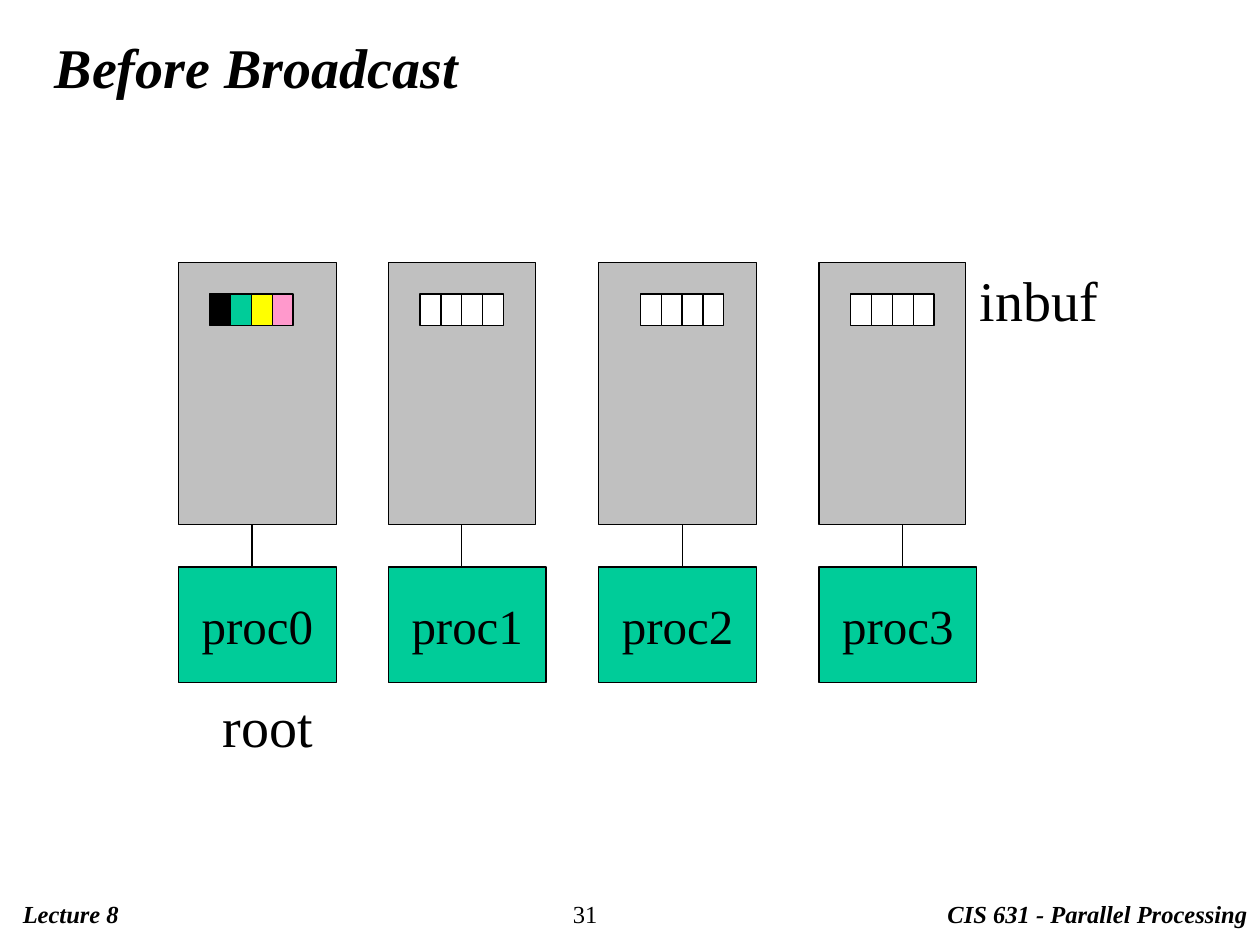
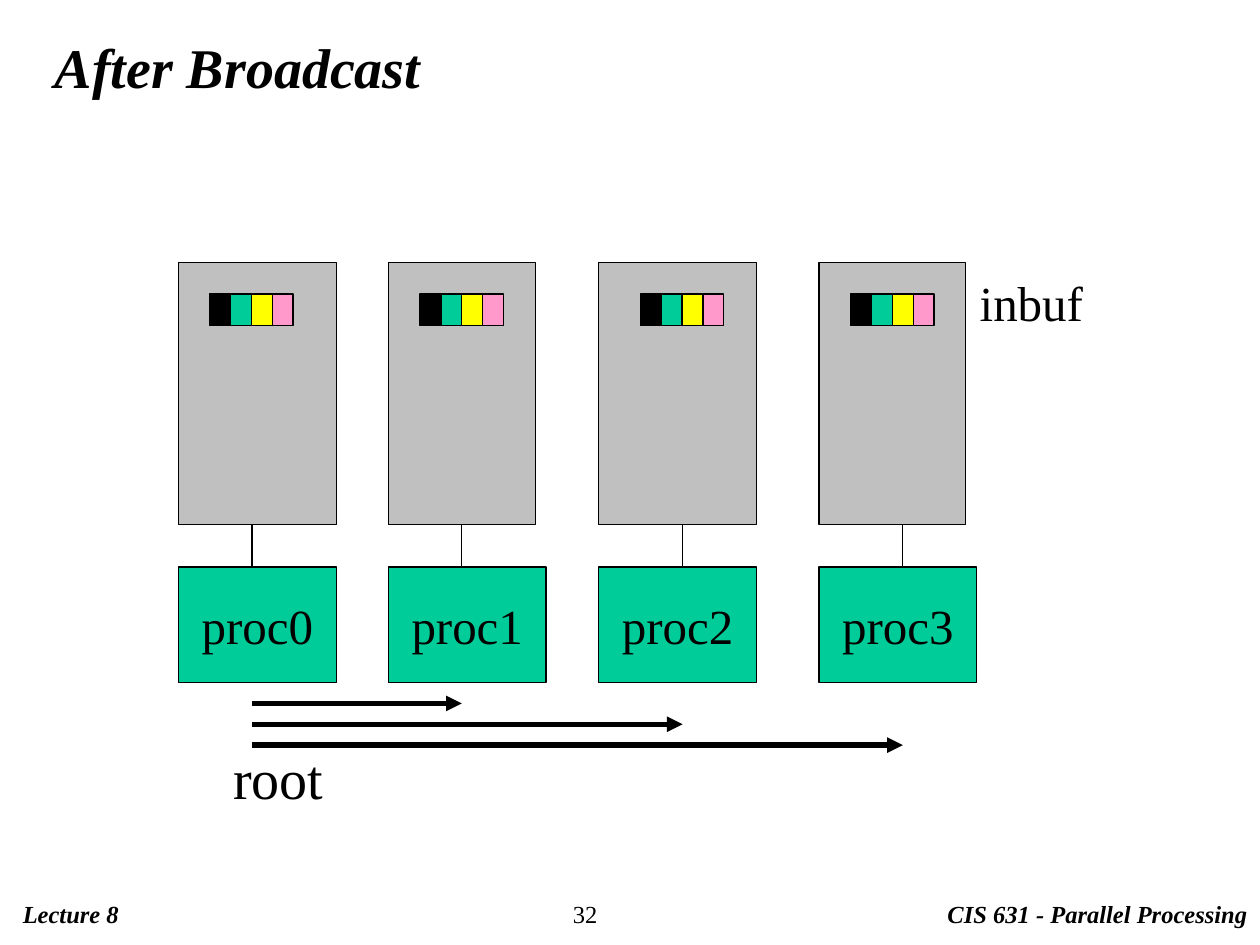
from lxml import etree
from pptx import Presentation
from pptx.dml.color import RGBColor
from pptx.enum.shapes import MSO_CONNECTOR, MSO_SHAPE
from pptx.enum.text import MSO_ANCHOR, MSO_AUTO_SIZE, PP_ALIGN
from pptx.oxml.ns import qn
from pptx.util import Cm, Pt

RECT = MSO_SHAPE.RECTANGLE
STRAIGHT = MSO_CONNECTOR.STRAIGHT
MIDDLE = MSO_ANCHOR.MIDDLE
NO_FIT = MSO_AUTO_SIZE.NONE
LEFT, CENTER = PP_ALIGN.LEFT, PP_ALIGN.CENTER

COLORS = {
    "ink": "000000",
    "paper": "FFFFFF",
    "memory": "C0C0C0",
    "green": "00CC99",
    "yellow": "FFFF00",
    "pink": "FF99CC",
}
FULL = ["ink", "green", "yellow", "pink"]
EMPTY = ["paper"] * 4

BODY = {"name": "Times New Roman", "size": Pt(32), "bold": False, "italic": False}
TITLE = BODY | {"bold": True, "italic": True}
PROC = BODY | {"size": Pt(28)}
PAGE = BODY | {"size": Pt(14)}
FOOTER = TITLE | {"size": Pt(14)}

TITLE_BOX = (0.85, 0.7, 23.92, 1.27)
FOOTER_TOP, FOOTER_HEIGHT = 17.99, 0.86
DIAGRAM = (3.6, 5.29)
MEMORY_HEIGHT = 5.29
PROC_TOP, PROC_WIDTH, PROC_HEIGHT = 6.14, 3.18, 2.33
CELL_WIDTH, CELL_HEIGHT, CELL_TOP = 0.42, 0.64, 0.64
ARROW_TOP, ARROW_GAP = 8.89, 0.42

COLUMNS = [
    {"left": 0, "memory_width": 3.18, "link": 1.48, "buffer": 0.63},
    {"left": 4.23, "memory_width": 2.96, "link": 5.71, "buffer": 4.87},
    {"left": 8.47, "memory_width": 3.18, "link": 10.16, "buffer": 9.31},
    {"left": 12.91, "memory_width": 2.96, "link": 14.6, "buffer": 13.55},
]


def rgb(name):
    return RGBColor.from_string(COLORS[name])


def write(sp, text, style, align=LEFT, wrap=False):
    tf = sp.text_frame
    tf.word_wrap = wrap
    tf.auto_size = NO_FIT
    p = tf.paragraphs[0]
    p.alignment = align
    r = p.add_run()
    r.text = text
    for key, value in style.items():
        setattr(r.font, key, value)
    r.font.color.rgb = rgb("ink")
    return tf


def add_label(s, box, text, style, wrap=False):
    write(s.shapes.add_textbox(*map(Cm, box)), text, style, wrap=wrap)


def add_rect(s, box, fill):
    sp = s.shapes.add_shape(RECT, *map(Cm, box))
    sp.shadow.inherit = False
    sp.fill.solid()
    sp.fill.fore_color.rgb = rgb(fill)
    sp.line.color.rgb = rgb("ink")
    sp.line.width = Pt(0.75)
    return sp


def add_line(s, ends, width=0.75, arrow=False):
    connector = s.shapes.add_connector(STRAIGHT, *map(Cm, ends))
    connector.line.color.rgb = rgb("ink")
    connector.line.width = Pt(width)
    sp_pr = connector._element.spPr
    if arrow:
        etree.SubElement(sp_pr.get_or_add_ln(), qn("a:tailEnd"), type="triangle")
    etree.SubElement(sp_pr, qn("a:effectLst"))


def add_title(s, text):
    title = s.shapes.title
    title.left, title.top, title.width, title.height = map(Cm, TITLE_BOX)
    write(title, text, TITLE, wrap=True).vertical_anchor = MIDDLE


def add_footer(s, number):
    for left, width, text, style, wrap in [
        (18.85, 6.55, "CIS 631 - Parallel Processing", FOOTER, False),
        (0.21, 18.85, "Lecture 8", FOOTER, True),
        (11.3, 2.57, str(number), PAGE, True),
    ]:
        add_label(s, (left, FOOTER_TOP, width, FOOTER_HEIGHT), text, style, wrap)


def add_buffer(s, x, y, cells):
    for i, fill in enumerate(cells):
        add_rect(s, (x + i * CELL_WIDTH, y, CELL_WIDTH, CELL_HEIGHT), fill)


def add_processors(s, origin, buffers):
    x, y = origin
    for i, (column, cells) in enumerate(zip(COLUMNS, buffers)):
        left, link = x + column["left"], x + column["link"]
        proc = add_rect(s, (left, y + PROC_TOP, PROC_WIDTH, PROC_HEIGHT), "green")
        write(proc, f"proc{i}", PROC, CENTER).vertical_anchor = MIDDLE
        add_rect(s, (left, y, column["memory_width"], MEMORY_HEIGHT), "memory")
        add_line(s, (link, y + MEMORY_HEIGHT, link, y + PROC_TOP))
        add_buffer(s, x + column["buffer"], y + CELL_TOP, cells)


def add_broadcast_arrows(s, origin):
    x, y = origin
    root, *targets = [x + column["link"] for column in COLUMNS]
    for i, target in enumerate(targets):
        row = y + ARROW_TOP + i * ARROW_GAP
        add_line(s, (root, row, target, row), 3, arrow=True)


def add_broadcast_slide(prs, number, title, buffers, inbuf, root, arrows=False):
    s = prs.slides.add_slide(prs.slide_layouts[5])
    add_footer(s, number)
    add_title(s, title)
    add_processors(s, DIAGRAM, buffers)
    if arrows:
        add_broadcast_arrows(s, DIAGRAM)
    inbuf_box, inbuf_style = inbuf
    add_label(s, inbuf_box, "inbuf", inbuf_style)
    add_label(s, root, "root", BODY)


def main():
    prs = Presentation()
    prs.slide_width, prs.slide_height = Cm(25.4), Cm(19.05)
    add_broadcast_slide(
        prs, 31, "Before Broadcast", [FULL] + [EMPTY] * 3,
        inbuf=((19.5, 5.23, 2.9, 1.63), BODY), root=(4.24, 13.82, 2.31, 1.63),
    )
    add_broadcast_slide(
        prs, 32, "After Broadcast", [FULL] * 4,
        inbuf=((19.5, 5.36, 2.59, 1.45), PROC), root=(4.45, 14.87, 2.31, 1.63),
        arrows=True,
    )
    prs.save("out.pptx")


if __name__ == "__main__":
    main()
